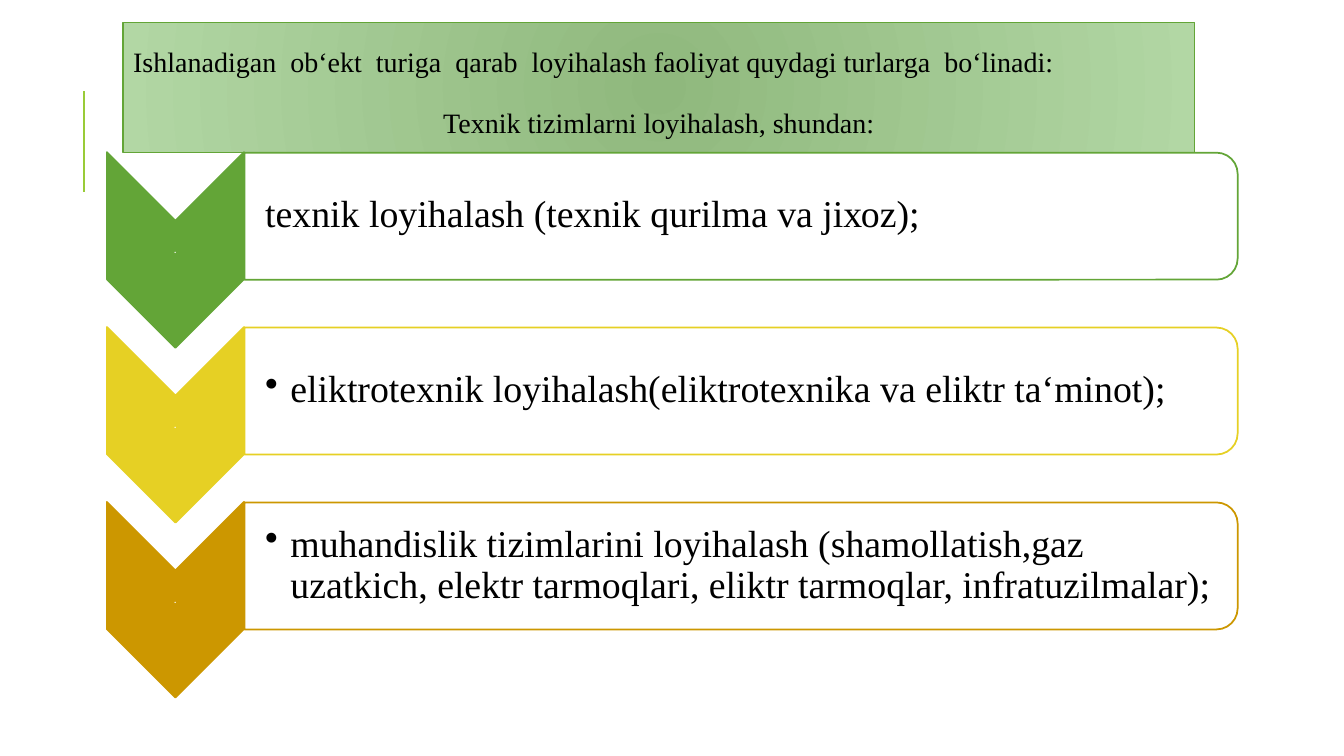
from lxml.etree import SubElement
from pptx import Presentation
from pptx.dml.color import RGBColor
from pptx.enum.shapes import MSO_CONNECTOR, MSO_SHAPE
from pptx.enum.text import MSO_ANCHOR, MSO_AUTO_SIZE, PP_ALIGN
from pptx.oxml.ns import qn
from pptx.util import Inches, Pt

WHITE = RGBColor(0xFF, 0xFF, 0xFF)
BLACK = RGBColor(0x00, 0x00, 0x00)
LIME = RGBColor(0x99, 0xCB, 0x38)
GREEN = RGBColor(0x63, 0xA5, 0x37)
YELLOW = RGBColor(0xE6, 0xD0, 0x24)
OCHRE = RGBColor(0xCC, 0x97, 0x00)
GRADIENT = (RGBColor(0x8F, 0xB8, 0x7D), RGBColor(0xB2, 0xD7, 0xA4))

HEADING_FONT = {"name": "Times New Roman", "size": Pt(20)}
ITEM_FONT = {"name": "Times New Roman", "size": Pt(27)}
DOT_FONT = {"name": "Calibri", "size": Pt(8)}

HEADING = [
    ("Ishlаnаdigаn  оbʻekt  turigа  qаrаb  lоyihаlаsh fаоliyаt quydаgi turlаrgа  bоʻlinаdi:", PP_ALIGN.JUSTIFY),
    ("Teхnik tizimlаrni lоyihаlаsh, shundаn:", PP_ALIGN.CENTER),
]
ITEMS = [
    ("teхnik lоyihаlаsh (teхnik qurilmа vа jiхоz);", GREEN, False),
    ("eliktrоteхnik lоyihаlаsh(eliktrоteхnikа vа eliktr tаʻminоt);", YELLOW, True),
    ("muhаndislik tizimlаrini lоyihаlаsh (shаmоllаtish,gаz uzаtkich, elektr tаrmоqlаri, "
     "eliktr tаrmоqlаr, infrаtuzilmаlаr);", OCHRE, True),
]
ROW_PITCH = 1.735


def apply(target, values):
    for name, value in values.items():
        setattr(target, name, value)


def place(shape, left, top, width, height):
    apply(shape, {"left": Inches(left), "top": Inches(top),
                  "width": Inches(width), "height": Inches(height)})


def write(para, text, font, color, **values):
    apply(para, values)
    span = para.add_run()
    span.text = text
    apply(span.font, font)
    span.font.color.rgb = color


def add_text(page, area, margins, text, font, color, align, hanging=False, bullet=False):
    box = page.shapes.add_textbox(*map(Inches, area))
    frame = box.text_frame
    side, edge = margins
    apply(frame, {"word_wrap": True, "vertical_anchor": MSO_ANCHOR.MIDDLE,
                  "margin_left": Inches(side), "margin_right": Inches(edge),
                  "margin_top": Inches(edge), "margin_bottom": Inches(edge)})
    para = frame.paragraphs[0]
    if hanging:
        properties = para._p.get_or_add_pPr()
        properties.set("marL", str(Inches(0.25)))
        properties.set("indent", str(-Inches(0.25)))
        if bullet:
            SubElement(properties, qn("a:buChar"), char="•")
        else:
            SubElement(properties, qn("a:buNone"))
    write(para, text, font, color, alignment=align, line_spacing=0.9)


def add_turned_shape(page, kind, area, fill, line):
    shape = page.shapes.add_shape(kind, *map(Inches, area))
    shape.rotation = 90
    shape.shadow.inherit = False
    shape.fill.solid()
    shape.fill.fore_color.rgb = fill
    shape.line.color.rgb = line
    shape.line.width = Pt(1.25)
    return shape


def add_item(page, row, text, color, bullet):
    shift = row * ROW_PITCH
    add_turned_shape(page, MSO_SHAPE.CHEVRON, (0.77, 1.8 + shift, 1.94, 1.36), color, color)
    add_text(page, (1.06, 2.19 + shift, 1.36, 0.58), (0.01, 0.01),
             ".", DOT_FONT, WHITE, PP_ALIGN.CENTER)
    panel = add_turned_shape(page, MSO_SHAPE.ROUND_2_SAME_RECTANGLE,
                             (6.72, -2.78 + shift, 1.26, 9.85), WHITE, color)
    white = panel._element.spPr.find(qn("a:solidFill"))[0]
    SubElement(white, qn("a:alpha"), val="90000")
    add_text(page, (2.42, 1.57 + shift, 9.79, 1.14), (0.21, 0.02),
             text, ITEM_FONT, BLACK, PP_ALIGN.LEFT, True, bullet)


def add_accent_line(page):
    line = page.shapes.add_connector(MSO_CONNECTOR.STRAIGHT, Inches(0.83), Inches(1.9),
                                     Inches(0.83), Inches(0.9))
    line.line.color.rgb = LIME
    line.line.width = Pt(1.5)
    SubElement(line._element.spPr, qn("a:effectLst"))


def format_heading(title):
    place(title, 1.22, 0.22, 10.63, 1.29)
    geometry = SubElement(title._element.spPr, qn("a:prstGeom"), prst="roundRect")
    SubElement(geometry, qn("a:avLst"))
    title.fill.gradient()
    for stop, color in zip(title.fill.gradient_stops, GRADIENT):
        stop.color.rgb = color
    gradient = title._element.spPr.find(qn("a:gradFill"))
    gradient.remove(gradient.find(qn("a:lin")))
    circle = SubElement(gradient, qn("a:path"), path="circle")
    SubElement(circle, qn("a:fillToRect"), l="100000", t="100000", r="100000", b="100000")
    title.line.color.rgb = GREEN
    title.line.width = Pt(0.75)
    frame = title.text_frame
    apply(frame, {"word_wrap": True, "vertical_anchor": MSO_ANCHOR.TOP,
                  "auto_size": MSO_AUTO_SIZE.NONE})
    for index, (text, align) in enumerate(HEADING):
        para = frame.add_paragraph() if index else frame.paragraphs[0]
        write(para, text, HEADING_FONT, BLACK, alignment=align,
              line_spacing=1.5, space_before=Pt(0), space_after=Pt(8))


def main():
    deck = Presentation()
    deck.slide_width, deck.slide_height = Inches(13.33), Inches(7.5)
    page = deck.slides.add_slide(deck.slide_layouts[5])
    format_heading(page.shapes.title)
    add_accent_line(page)
    for row, item in enumerate(ITEMS):
        add_item(page, row, *item)
    deck.save("out.pptx")


if __name__ == "__main__":
    main()
